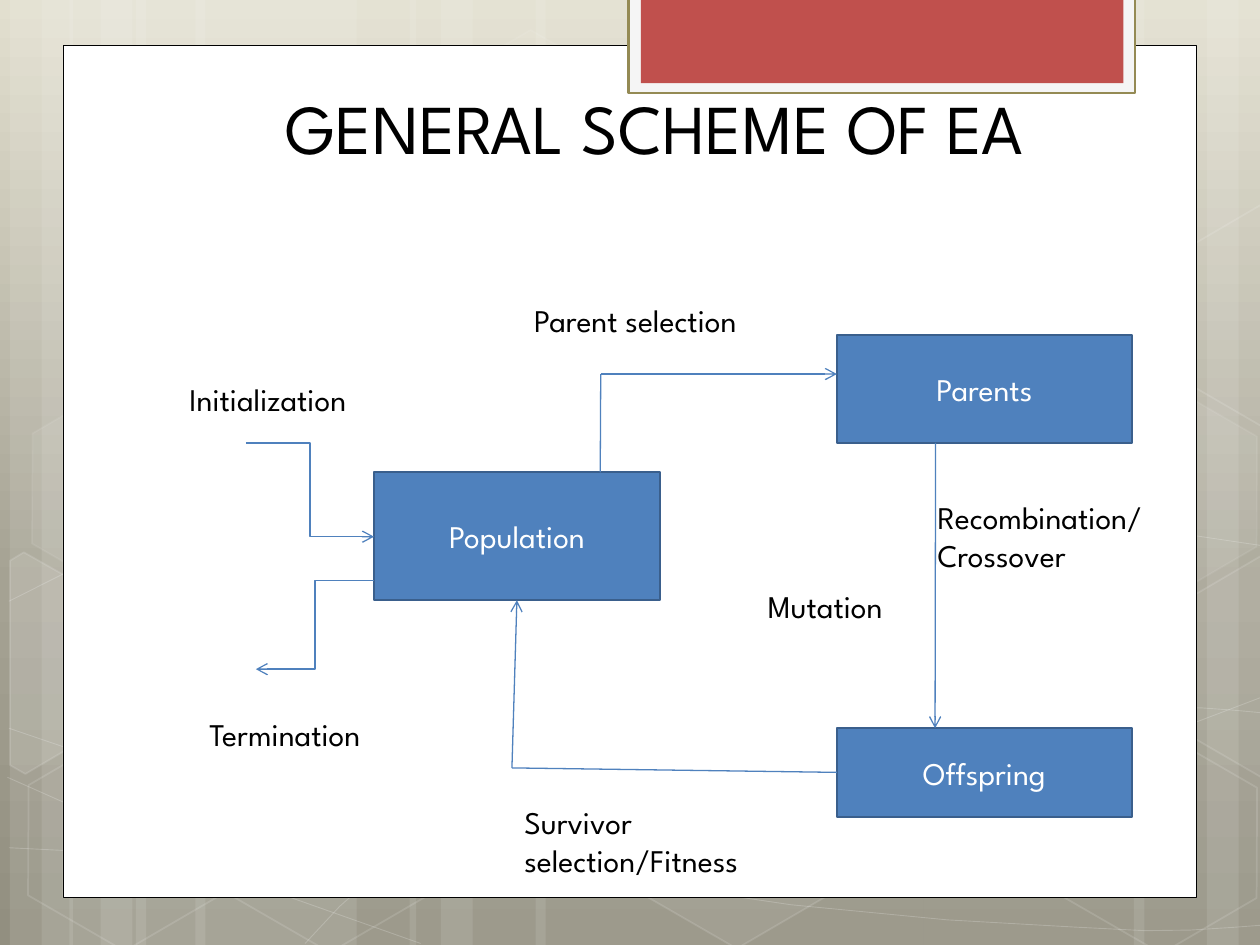
"""Build a slide showing the general scheme of an evolutionary algorithm."""
from copy import deepcopy
from dataclasses import dataclass
from math import cos, radians, sin
from typing import Optional

from lxml.etree import SubElement
from pptx import Presentation
from pptx.dml.color import RGBColor
from pptx.enum.shapes import MSO_CONNECTOR, MSO_SHAPE
from pptx.enum.text import MSO_ANCHOR, PP_ALIGN
from pptx.oxml.ns import qn
from pptx.util import Cm, Pt

COLORS = {
    "white": "FFFFFF", "black": "000000", "blue": "4F81BD", "navy": "3A5F8C",
    "red": "C0504D", "tab": "F5F5F5", "olive": "948A54",
    "sky": "E2DFCF", "stone": "A5A293", "ground": "928F80",
}
FONT = "League Spartan"
TILT = 30
Points = list[tuple[float, float]]


@dataclass
class Paint:
    fill: Optional[str] = None
    line: Optional[str] = None
    width: float = 1
    fill_alpha: int = 100
    line_alpha: int = 100


@dataclass
class Box:
    left: float
    top: float
    width: float
    height: float
    paint: Paint
    text: str = ""


@dataclass
class Label:
    left: float
    top: float
    width: float
    height: float
    lines: list[str]
    size: int = 18
    align: PP_ALIGN = PP_ALIGN.LEFT


@dataclass
class Link:
    start: tuple[float, float]
    end: tuple[float, float]
    arrow: bool = True
    kind: MSO_CONNECTOR = MSO_CONNECTOR.STRAIGHT


def rgb(name: str) -> RGBColor:
    return RGBColor.from_string(COLORS[name])


def set_color(fill, name: Optional[str]) -> None:
    if name is None:
        fill.background()
    else:
        fill.solid()
        fill.fore_color.rgb = rgb(name)


def set_paint(s, paint: Paint) -> None:
    s.shadow.inherit = False
    set_color(s.fill, paint.fill)
    set_color(s.line.fill, paint.line)
    s.line.width = Pt(paint.width)
    sp_pr = s.element.spPr
    for parent, alpha in ((sp_pr, paint.fill_alpha), (sp_pr.find(qn("a:ln")), paint.line_alpha)):
        color = parent.find(f"{qn('a:solidFill')}/{qn('a:srgbClr')}")
        if color is not None and alpha < 100:
            SubElement(color, qn("a:alpha"), val=str(alpha * 1000))


def add_line(tf, index: int, text: str, size: int, color: str, align: PP_ALIGN) -> None:
    p = tf.add_paragraph() if index else tf.paragraphs[0]
    p.alignment = align
    r = p.add_run()
    r.text = text
    r.font.size, r.font.name = Pt(size), FONT
    r.font.color.rgb = rgb(color)


def add_box(shapes, box: Box) -> None:
    s = shapes.add_shape(MSO_SHAPE.RECTANGLE, Cm(box.left), Cm(box.top), Cm(box.width), Cm(box.height))
    set_paint(s, box.paint)
    if box.text:
        s.text_frame.vertical_anchor = MSO_ANCHOR.MIDDLE
        add_line(s.text_frame, 0, box.text, 18, "white", PP_ALIGN.CENTER)


def add_label(shapes, label: Label) -> None:
    s = shapes.add_textbox(Cm(label.left), Cm(label.top), Cm(label.width), Cm(label.height))
    tf = s.text_frame
    tf.word_wrap = True
    for i, text in enumerate(label.lines):
        add_line(tf, i, text, label.size, "black", label.align)


def add_link(shapes, link: Link) -> None:
    s = shapes.add_connector(link.kind, *(Cm(v) for v in link.start + link.end))
    s.line.color.rgb, s.line.width = rgb("blue"), Pt(0.75)
    if link.arrow:
        SubElement(s.element.spPr.find(qn("a:ln")), qn("a:tailEnd"), type="arrow")
    SubElement(s.element.spPr, qn("a:effectLst"))


def add_outline(shapes, points: Points, paint: Paint, close: bool, rotation: int = 0) -> None:
    pts = [(Cm(x), Cm(y)) for x, y in points]
    fb = shapes.build_freeform(*pts[0])
    fb.add_line_segments(pts[1:], close=close)
    s = fb.convert_to_shape()
    s.rotation = rotation
    set_paint(s, paint)


def turn_back(points: Points, cx: float, cy: float) -> Points:
    c, n = cos(radians(TILT)), sin(radians(TILT))
    return [(cx + (x - cx) * c + (y - cy) * n, cy + (y - cy) * c - (x - cx) * n) for x, y in points]


def bezier(knots: Points, steps: int = 2) -> Points:
    pts = [knots[0]]
    for i in range(0, len(knots) - 1, 3):
        a, b, c, d = knots[i:i + 4]
        for t in (n / steps for n in range(1, steps + 1)):
            w = ((1 - t) ** 3, 3 * t * (1 - t) ** 2, 3 * t * t * (1 - t), t ** 3)
            pts.append(tuple(sum(k * v for k, v in zip(w, axis)) for axis in zip(a, b, c, d)))
    return pts


def add_hexagon(shapes, left: float, top: float, paint: Paint) -> None:
    s = shapes.add_shape(MSO_SHAPE.HEXAGON, Cm(left), Cm(top), Cm(4.45), Cm(3.86))
    s.adjustments[0], s.adjustments[1] = 0.285, 1.155
    s.rotation = TILT
    set_paint(s, paint)


def set_background(slide) -> None:
    fill = slide.background.fill
    fill.gradient()
    fill.gradient_angle = 270
    stops = next(slide.element.iter(qn("a:gsLst")))
    stops.append(deepcopy(stops[-1]))
    for stop, (position, name) in zip(fill.gradient_stops, ((0, "sky"), (0.62, "stone"), (1, "ground"))):
        stop.position = position
        stop.color.rgb = rgb(name)


STRIPES = [(2.74, 4.45), (0.2, 1.27), (0.84, 2.11), (3.94, 4.45), (1.4, 1.27), (2.03, 2.11),
           (18.62, 4.45), (24.33, 1.27), (22.86, 2.11), (10.8, 7.82), (8.26, 1.27), (8.89, 2.11)]
CURVES = [
    [(0.18, 17.09), (1.55, 17.17), (2.92, 17.25), (4.83, 17.22), (6.73, 17.2), (9.09, 17.15), (11.63, 16.89),
     (14.17, 16.64), (17.78, 16.15), (20.12, 15.67), (22.43, 15.19), (24.82, 14.43), (25.58, 14)],
    [(0.18, 12.12), (0.91, 11.71), (1.65, 11.33), (3.07, 10.95), (4.52, 10.57), (6.58, 10.01), (8.81, 9.83),
     (11.07, 9.65), (13.82, 9.63), (16.61, 9.83), (19.41, 10.03), (24.05, 10.82), (25.58, 11.02)],
    [(0.15, 15.67), (3.23, 17.07), (6.27, 18.47), (8.48, 19.02)],
    [(0.18, 14.68), (0.97, 14.96), (1.78, 15.24), (3.25, 15.65), (4.72, 16.03), (6.93, 16.66), (9.07, 17.09),
     (11.18, 17.53), (13.84, 17.98), (15.95, 18.24), (18.06, 18.52), (20.32, 18.62), (21.67, 18.69),
     (22.99, 18.8), (23.34, 18.75), (24, 18.75), (24.66, 18.72), (25.12, 18.67), (25.58, 18.64)],
    [(6.15, 19.02), (6.6, 18.52), (7.06, 18.01), (7.67, 17.55), (8.28, 17.09), (9.14, 16.59), (9.86, 16.23),
     (10.57, 15.88), (11, 15.72), (11.94, 15.47), (12.85, 15.21), (14.55, 14.86), (15.44, 14.68),
     (16.36, 14.5), (16.48, 14.5), (17.27, 14.45), (18.06, 14.38), (19.3, 14.3), (20.17, 14.27),
     (21.7, 14.25), (23.2, 14.27), (24.21, 14.27), (24.66, 14.3), (25.1, 14.33), (25.55, 14.38)],
]
HEXAGONS = [(8.48, 0.91, 4, 8), (12.62, 14.96, 6, 12), (0.28, 15.01, 0, 12), (0.36, 7.92, 7, 8),
            (4.42, 15.04, 0, 12), (19.13, 11.51, 10, 12), (21.18, 15.06, 0, 12), (21.18, 7.98, 7, 8)]
LEFT_CUT = [(0.2, 11.3), (0.48, 11.13), (2.44, 12.24), (2.41, 14.48), (0.51, 15.6), (0.2, 15.42)]
RIGHT_CUT = [(23.52, 12.32), (25.43, 11.2), (25.63, 11.33), (25.63, 15.57), (25.45, 15.67), (23.52, 14.55)]
CUTS = [(turn_back(LEFT_CUT, 0.91, 13.59), 10), (turn_back(RIGHT_CUT, 25.02, 13.21), 4),
        (turn_back([(x, y - 7.08) for x, y in RIGHT_CUT], 25.02, 6.13), 0)]
NODE = Paint("blue", "navy", 1.25)
BOXES = [
    Box(1.27, 0.91, 22.86, 17.19, Paint("white", "black", 0.5)),
    Box(12.67, -0.05, 10.21, 1.93, Paint("tab", "olive", 1.25)),
    Box(12.92, -0.05, 9.73, 1.73, Paint("red")),
    Box(7.54, 9.52, 5.77, 2.58, NODE, "Population"),
    Box(16.87, 6.75, 5.95, 2.18, NODE, "Parents"),
    Box(16.87, 14.68, 5.95, 1.79, NODE, "Offspring"),
]
LINKS = [
    Link((4.96, 8.93), (7.54, 10.82), kind=MSO_CONNECTOR.ELBOW),
    Link((7.54, 11.7), (5.16, 13.49), kind=MSO_CONNECTOR.ELBOW),
    Link((12.1, 9.52), (12.11, 7.54), arrow=False),
    Link((12.11, 7.54), (16.87, 7.54)),
    Link((18.86, 8.93), (18.85, 14.68)),
    Link((16.87, 15.57), (10.32, 15.48), arrow=False),
    Link((10.32, 15.48), (10.42, 12.1)),
]
LABELS = [
    Label(3.57, 7.54, 5.56, 1.03, ["Initialization"]),
    Label(3.97, 14.29, 5.77, 1.03, ["Termination"]),
    Label(10.52, 5.95, 5.77, 1.03, ["Parent selection"]),
    Label(18.65, 9.92, 5.77, 1.8, ["Recombination/", "Crossover"]),
    Label(15.23, 11.7, 3.44, 1.03, ["Mutation"]),
    Label(10.32, 16.07, 6.35, 1.8, ["Survivor selection/Fitness"]),
    Label(2.37, 1.57, 21.64, 1.96, ["GENERAL SCHEME OF EA"], 40, PP_ALIGN.CENTER),
]

prs = Presentation()
prs.slide_width, prs.slide_height = Cm(25.4), Cm(19.05)
slide = prs.slides.add_slide(prs.slide_layouts[6])
shapes = slide.shapes
set_background(slide)
for left, width in STRIPES:
    add_box(shapes, Box(left, 0, width, 19.05, Paint("white", fill_alpha=10)))
for knots in CURVES:
    add_outline(shapes, bezier(knots), Paint(None, "white", 0.5, line_alpha=20), False)
for left, top, fill_alpha, line_alpha in HEXAGONS:
    add_hexagon(shapes, left, top, Paint("white" if fill_alpha else None, "white", 1, fill_alpha, line_alpha))
for points, fill_alpha in CUTS:
    add_outline(shapes, points, Paint("white" if fill_alpha else None, "white", 1, fill_alpha, 12), True, TILT)
for box in BOXES:
    add_box(shapes, box)
for link in LINKS:
    add_link(shapes, link)
for label in LABELS:
    add_label(shapes, label)
prs.save("out.pptx")
